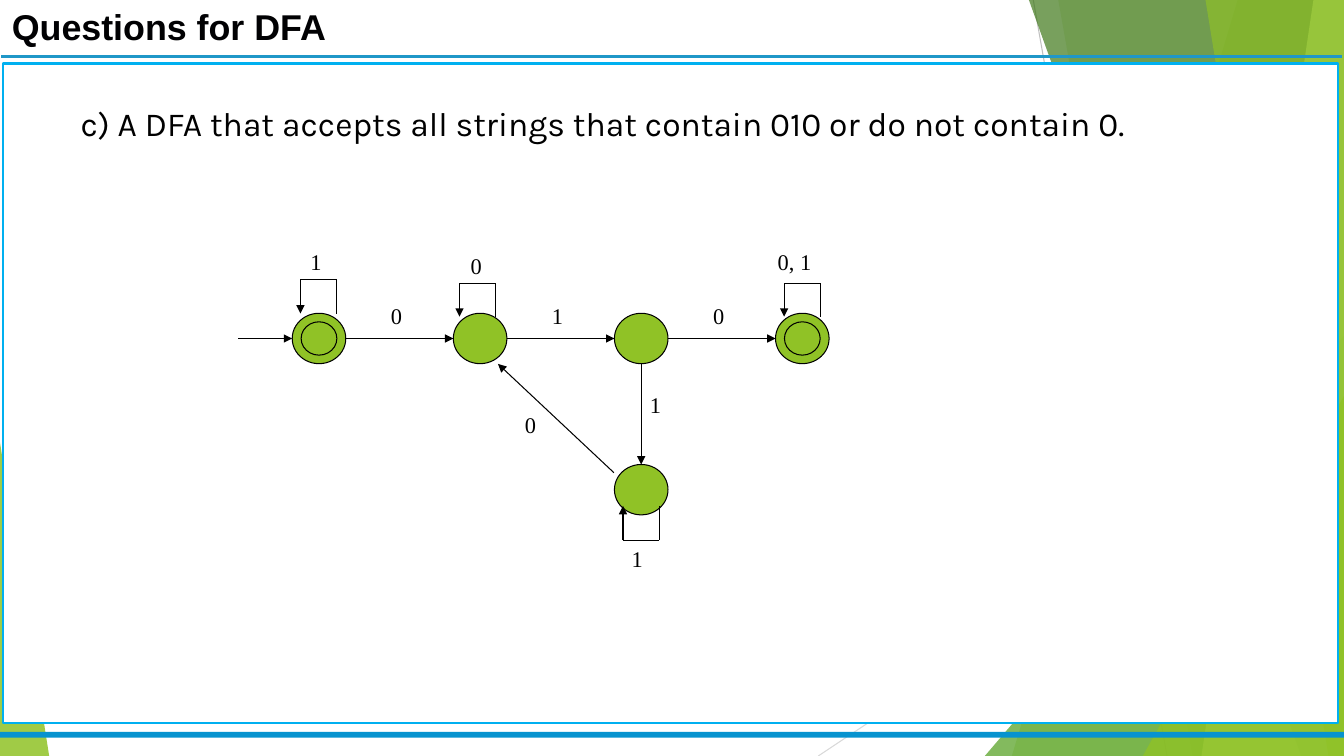
from lxml import etree
from pptx import Presentation
from pptx import util as u
from pptx.dml.color import RGBColor
from pptx.enum import shapes, text
from pptx.oxml.ns import qn

COLOURS = {
    "black": "000000", "white": "FFFFFF", "title": "010103",
    "rule": "1F97C8", "band": "0793CF", "frame": "00B0F0",
    "grey": "BFBFBF", "pale grey": "D9D9D9",
    "green": "90C226", "mid green": "54A021",
    "dark green": "3F7819", "light green": "C0E474",
}
WIDTH, HEIGHT = 33.87, 19.05
STATE_W, STATE_H = 1.35, 1.27
FIRST_X, PITCH = 8.04, 4.06
ROW_Y, LOWER_Y = 8.53, 12.34
LOOP_W = 0.91


def colour(name):
    return RGBColor.from_string(COLOURS[name])


def apply(target, **values):
    for name, value in values.items():
        setattr(target, name, value)


def paint(shape, fill, line=None, weight=0.75, alpha=None):
    shape.shadow.inherit = False
    shape.fill.solid()
    shape.fill.fore_color.rgb = colour(fill)
    if alpha is not None:
        tint = shape.fill._xPr.find(qn("a:solidFill"))[0]
        etree.SubElement(tint, qn("a:alpha"), val=str(alpha * 1000))
    if line:
        shape.line.color.rgb = colour(line)
        shape.line.width = u.Pt(weight)
    else:
        shape.line.fill.background()


def add_box(page, kind, left, top, width, height, fill, **look):
    box = page.shapes.add_shape(kind, u.Cm(left), u.Cm(top), u.Cm(width), u.Cm(height))
    paint(box, fill, **look)
    return box


def add_facet(page, top_x, bottom_x, fill, alpha):
    """Full-height panel that reaches the right edge, with a slanted left side."""
    builder = page.shapes.build_freeform(u.Cm(top_x), 0)
    corners = [(WIDTH, 0), (WIDTH, HEIGHT), (bottom_x, HEIGHT)]
    builder.add_line_segments([(u.Cm(x), u.Cm(y)) for x, y in corners])
    paint(builder.convert_to_shape(), fill, alpha=alpha)


def add_triangle(page, left, top, width, fill, alpha, apex):
    box = add_box(page, shapes.MSO_SHAPE.ISOSCELES_TRIANGLE, left, top, width,
                  HEIGHT - top, fill, alpha=alpha)
    box.adjustments[0] = apex


def add_line(page, start, end, line="black", weight=0.75, arrow=False):
    connector = page.shapes.add_connector(
        shapes.MSO_CONNECTOR.STRAIGHT, *(u.Cm(value) for value in (*start, *end)))
    connector.line.color.rgb = colour(line)
    connector.line.width = u.Pt(weight)
    properties = connector._element.spPr
    if arrow:
        etree.SubElement(properties.find(qn("a:ln")), qn("a:tailEnd"), type="triangle")
    etree.SubElement(properties, qn("a:effectLst"))


def add_text(page, left, top, width, height, words, frame_format, font_format,
             ink="black", spacing=None):
    box = page.shapes.add_textbox(u.Cm(left), u.Cm(top), u.Cm(width), u.Cm(height))
    apply(box.text_frame, **frame_format)
    para = box.text_frame.paragraphs[0]
    if spacing:
        para.line_spacing = spacing
    span = para.add_run()
    span.text = words
    apply(span.font, **font_format)
    span.font.color.rgb = colour(ink)


def add_label(page, left, top, words, width=0.84):
    add_text(page, left, top, width, 0.94, words,
             {"word_wrap": False, "auto_size": text.MSO_AUTO_SIZE.SHAPE_TO_FIT_TEXT},
             {"name": "Times New Roman", "size": u.Pt(16)})


def add_state(page, x, y, accepting=False):
    rings = [(STATE_W, STATE_H)] + [(0.9, 0.84)] * accepting
    for width, height in rings:
        add_box(page, shapes.MSO_SHAPE.OVAL, x - width / 2, y - height / 2,
                width, height, "green", line="black")


def add_loop(page, left, base, outer):
    """Three-sided self-transition, from the right end back to the left."""
    right = left + LOOP_W
    add_line(page, (right, base), (right, outer))
    add_line(page, (right, outer), (left, outer))
    add_line(page, (left, outer), (left, base), arrow=True)


def draw_background(page):
    add_line(page, (26.04, 0), (29.41, HEIGHT), "grey")
    add_line(page, (WIDTH, 10.24), (20.62, HEIGHT), "pale grey")
    add_facet(page, 31.19, 25.5, "green", 30)
    add_facet(page, 26.67, 30.05, "green", 20)
    add_triangle(page, 24.82, 8.46, 9.05, "mid green", 72, 1)
    add_facet(page, 25.93, 32.79, "dark green", 70)
    add_facet(page, 33.1, 30.28, "light green", 70)
    add_facet(page, 30.38, 33.48, "green", 65)
    add_triangle(page, 28.8, 9.98, 5.07, "green", 80, 1)
    add_triangle(page, 0, 11.15, 1.24, "green", 85, 0)


def draw_frame(page):
    rectangle = shapes.MSO_SHAPE.RECTANGLE
    add_line(page, (0.03, 1.42), (33.83, 1.42), "rule", 2.25)
    margins = ("margin_left", "margin_top", "margin_right", "margin_bottom")
    add_text(page, 0.3, 0.13, 20, 1.09, "Questions for DFA",
             {"word_wrap": True, **dict.fromkeys(margins, 0)},
             {"name": "Arial", "size": u.Pt(25.6), "bold": True}, "title")
    add_box(page, rectangle, 0, 18.44, WIDTH, 0.15, "band")
    add_box(page, rectangle, 0.08, 1.6, 33.63, 16.61, "white", line="frame", weight=1.5)
    add_text(page, 1.78, 2.59, 28.75, 12.57,
             "c) A DFA that accepts all strings that contain 010 or do not contain 0.",
             {"word_wrap": True}, {"name": "Karla", "size": u.Pt(24)}, spacing=0.9)


def draw_automaton(page):
    # States
    columns = [FIRST_X + PITCH * index for index in range(4)]
    for index, x in enumerate(columns):
        add_state(page, x, ROW_Y, accepting=index in (0, 3))
    add_state(page, columns[2], LOWER_Y)

    # Transitions along the row, with the start arrow first
    half = STATE_W / 2
    add_line(page, (6, ROW_Y), (FIRST_X - half, ROW_Y), arrow=True)
    for x, symbol in zip(columns, "010"):
        add_line(page, (x + half, ROW_Y), (x + PITCH - half, ROW_Y), arrow=True)
        add_label(page, x + 1.56, 7.49, symbol)

    # Transitions to and from the lower state
    add_line(page, (columns[2], ROW_Y + STATE_H / 2),
             (columns[2], LOWER_Y - STATE_H / 2), arrow=True)
    add_label(page, 16.13, 9.73, "1")
    add_line(page, (15.47, 11.91), (12.55, 9.17), arrow=True)
    add_label(page, 12.98, 10.24, "0")

    # Self-transitions
    for left, base, outer in [(7.57, 7.9, 7.04), (11.58, 7.98, 7.14),
                              (19.76, 7.98, 7.14), (15.7, 12.75, 13.61)]:
        add_loop(page, left, base, outer)
    add_label(page, 7.57, 6.12, "1")
    add_label(page, 11.61, 6.22, "0")
    add_label(page, 19.35, 6.12, "0, 1", 1.45)
    add_label(page, 15.67, 13.61, "1")


def main():
    deck = Presentation()
    apply(deck, slide_width=u.Cm(WIDTH), slide_height=u.Cm(HEIGHT))
    page = deck.slides.add_slide(deck.slide_layouts[6])
    draw_background(page)
    draw_frame(page)
    draw_automaton(page)
    deck.save("out.pptx")


if __name__ == "__main__":
    main()
